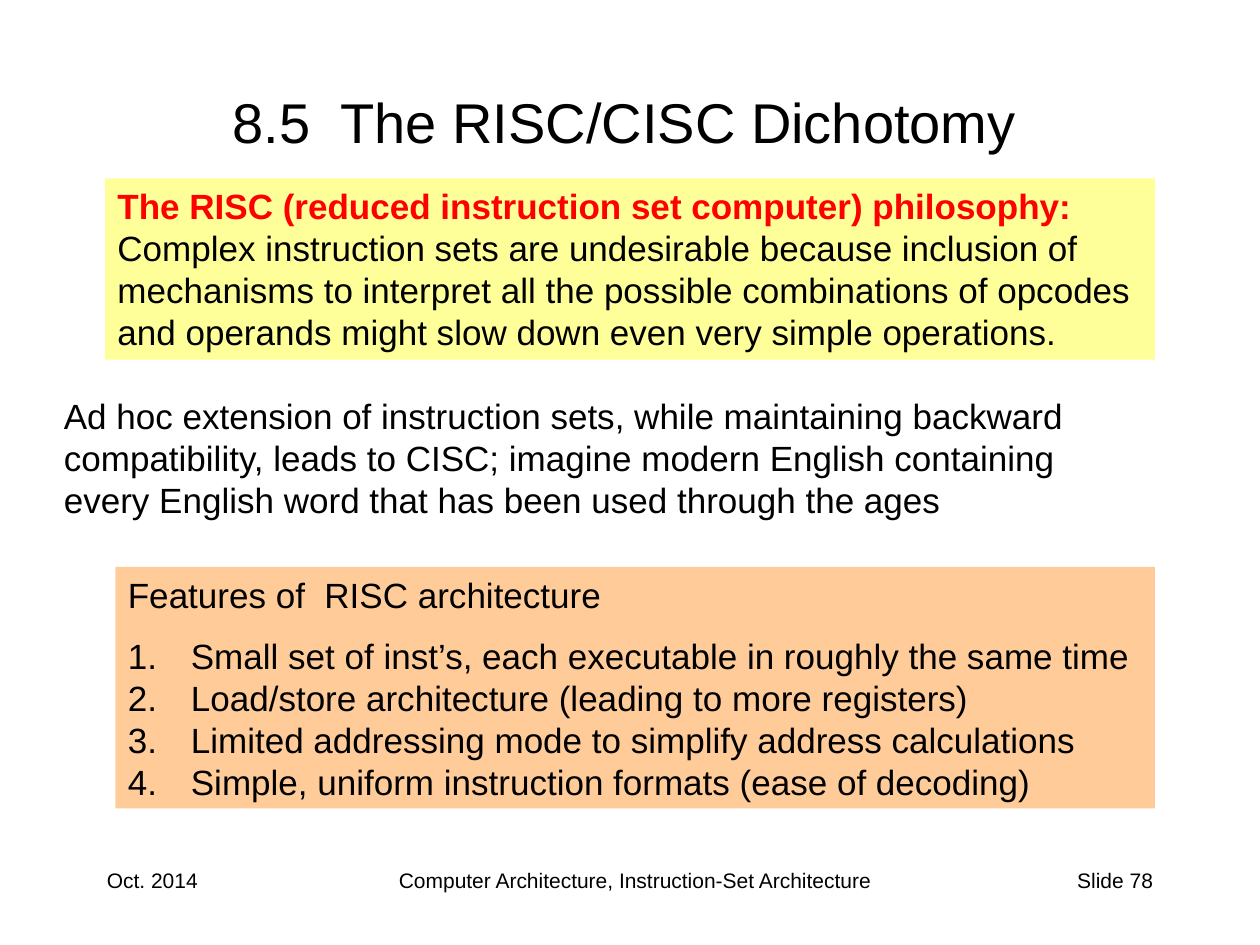
"""Build the slide on the RISC/CISC dichotomy."""
from dataclasses import dataclass
from typing import Optional

from lxml.etree import SubElement
from pptx import Presentation
from pptx.dml.color import RGBColor
from pptx.enum.shapes import MSO_SHAPE
from pptx.enum.text import MSO_ANCHOR, PP_ALIGN
from pptx.oxml.ns import qn
from pptx.slide import Slide
from pptx.util import Inches, Pt

BLACK = RGBColor(0x00, 0x00, 0x00)
RED = RGBColor(0xFF, 0x00, 0x00)
YELLOW = RGBColor(0xFF, 0xFF, 0x99)
ORANGE = RGBColor(0xFF, 0xCC, 0x99)

FONT = "Arial"
COLUMNS, ROWS = 120, 90
WIDTH, HEIGHT = Inches(10), Inches(7.5)


@dataclass(frozen=True)
class Line:
    """One paragraph and its look."""

    text: str
    size: int = 20
    color: RGBColor = BLACK
    bold: bool = False
    numbered: bool = False
    space_before: float = 0


@dataclass(frozen=True)
class Panel:
    """A text block placed in grid columns and rows."""

    column: float
    row: float
    columns: float
    rows: float
    lines: tuple[Line, ...]
    fill: Optional[RGBColor] = None
    align: PP_ALIGN = PP_ALIGN.LEFT
    anchor: MSO_ANCHOR = MSO_ANCHOR.TOP


FEATURES = (
    "Small set of inst’s, each executable in roughly the same time",
    "Load/store architecture (leading to more registers)",
    "Limited addressing mode to simplify address calculations",
    "Simple, uniform instruction formats (ease of decoding)",
)

PANELS = (
    Panel(9, 82, 25, 6, (Line("Oct. 2014", 12),)),
    Panel(29, 82, 63, 6, (Line("Computer Architecture, Instruction-Set Architecture", 12),),
          align=PP_ALIGN.CENTER),
    Panel(86, 82, 25, 6, (Line("Slide 78", 12),), align=PP_ALIGN.RIGHT),
    Panel(5, 5, 109, 13, (Line("8.5  The RISC/CISC Dichotomy", 32),),
          align=PP_ALIGN.CENTER, anchor=MSO_ANCHOR.MIDDLE),
    Panel(10, 17, 100, 17.25, (
        Line("The RISC (reduced instruction set computer) philosophy:", color=RED, bold=True),
        Line("Complex instruction sets are undesirable because inclusion of mechanisms to "
             "interpret all the possible combinations of opcodes and operands might slow "
             "down even very simple operations."),
    ), YELLOW),
    Panel(11, 54, 99, 23, (
        Line("Features of  RISC architecture"),
        *(Line(text, numbered=True, space_before=0 if index else 11)
          for index, text in enumerate(FEATURES)),
    ), ORANGE),
    Panel(4.9, 37, 110.5, 13.25, (
        Line("Ad hoc extension of instruction sets, while maintaining backward"),
        Line("compatibility, leads to CISC; imagine modern English containing"),
        Line("every English word that has been used through the ages"),
    )),
)


def number_paragraph(para) -> None:
    """Give a paragraph a hanging automatic number."""
    properties = para._p.get_or_add_pPr()
    properties.set("marL", str(Inches(0.5)))
    properties.set("indent", str(-Inches(0.5)))
    SubElement(properties, qn("a:buAutoNum"), type="arabicPeriod")


def draw_panel(page: Slide, panel: Panel) -> None:
    """Draw a panel with its lines of text."""
    place = (
        int(WIDTH * panel.column / COLUMNS), int(HEIGHT * panel.row / ROWS),
        int(WIDTH * panel.columns / COLUMNS), int(HEIGHT * panel.rows / ROWS),
    )
    if panel.fill is None:
        box = page.shapes.add_textbox(*place)
    else:
        box = page.shapes.add_shape(MSO_SHAPE.RECTANGLE, *place)
        box.shadow.inherit = False
        box.fill.solid()
        box.fill.fore_color.rgb = panel.fill
        box.line.fill.background()
    frame = box.text_frame
    frame.word_wrap = True
    frame.vertical_anchor = panel.anchor
    for index, line in enumerate(panel.lines):
        para = frame.add_paragraph() if index else frame.paragraphs[0]
        para.alignment = panel.align
        if line.space_before:
            para.space_before = Pt(line.space_before)
        if line.numbered:
            number_paragraph(para)
        span = para.add_run()
        span.text = line.text
        span.font.name = FONT
        span.font.size = Pt(line.size)
        span.font.bold = line.bold
        span.font.color.rgb = line.color


def main() -> None:
    """Build and save the deck."""
    deck = Presentation()
    deck.slide_width, deck.slide_height = WIDTH, HEIGHT
    page = deck.slides.add_slide(deck.slide_layouts[6])
    for panel in PANELS:
        draw_panel(page, panel)
    deck.save("out.pptx")


if __name__ == "__main__":
    main()
